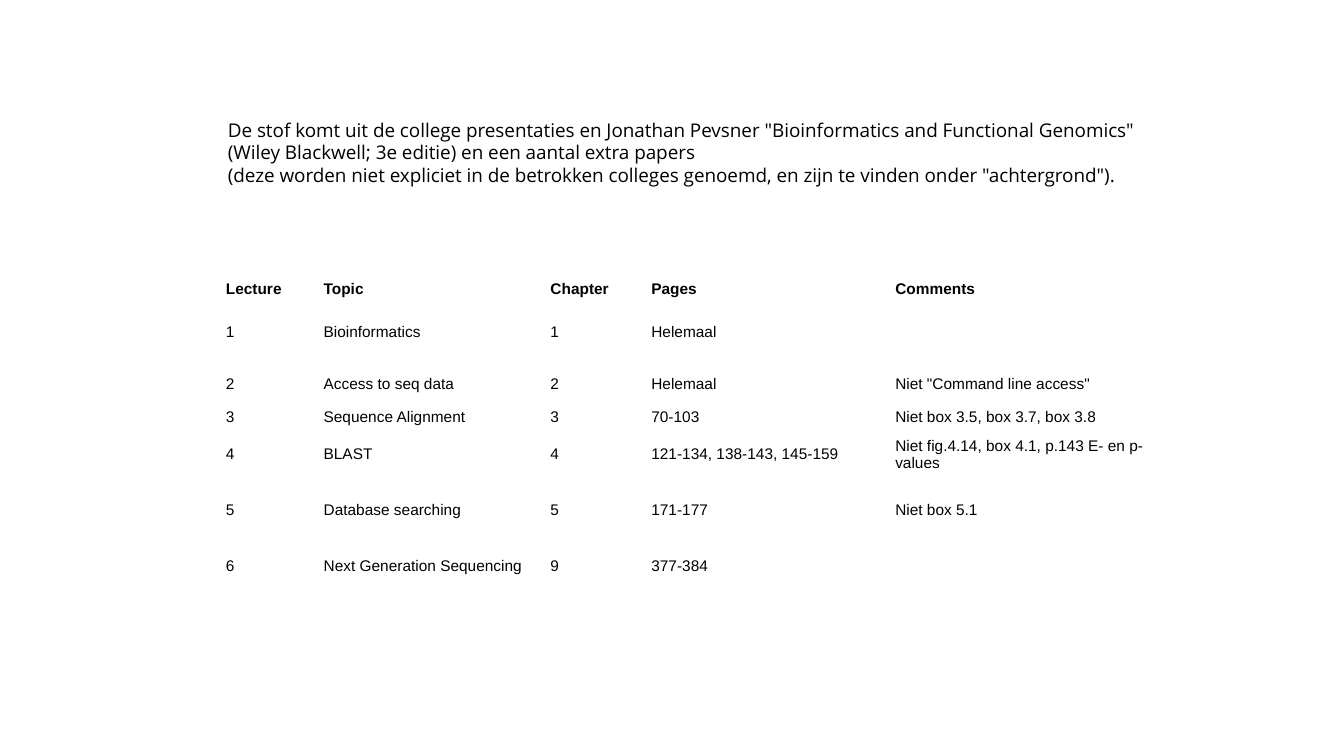
"""Builds a slide that lists the reading material for each bioinformatics lecture."""
import pptx
import pptx.dml.color
import pptx.enum.text
import pptx.util

Inches = pptx.util.Inches
COLORS = {"text": "000000", "background": "FFFFFF"}


def write_text(paragraph, text, font="Arial", size=11, bold=False, color="text"):
    run = paragraph.add_run()
    run.text = text
    run.font.name = font
    run.font.size = pptx.util.Pt(size)
    run.font.bold = bold
    run.font.color.rgb = pptx.dml.color.RGBColor.from_string(COLORS[color])


def set_frame(frame, side, edge):
    frame.margin_left = frame.margin_right = Inches(side)
    frame.margin_top = frame.margin_bottom = Inches(edge)
    frame.vertical_anchor = pptx.enum.text.MSO_ANCHOR.MIDDLE


deck = pptx.Presentation()
deck.slide_width = Inches(13.33)
deck.slide_height = Inches(7.5)
slide = deck.slides.add_slide(deck.slide_layouts[6])
slide.background.fill.solid()
slide.background.fill.fore_color.rgb = pptx.dml.color.RGBColor.from_string(COLORS["background"])

LEFT = 2.19
column_widths = [0.97, 2.25, 1, 2.42, 2.62]
row_heights = [0.24, 0.61, 0.42, 0.24, 0.5, 0.61, 0.5, 0.32]
lectures = [
    ["Lecture", "Topic", "Chapter", "Pages", "Comments"],
    ["1", "Bioinformatics", "1", "Helemaal", ""],
    ["2", "Access to seq data", "2", "Helemaal", 'Niet "Command line access"'],
    ["3", "Sequence Alignment", "3", "70-103", "Niet box 3.5, box 3.7, box 3.8"],
    ["4", "BLAST", "4", "121-134, 138-143, 145-159",
     "Niet fig.4.14, box 4.1, p.143 E- en p-values"],
    ["5", "Database searching", "5", "171-177", "Niet box 5.1"],
    ["6", "Next Generation Sequencing", "9", "377-384", ""],
    [""] * len(column_widths),
]

reading_list = slide.shapes.add_table(
    len(row_heights), len(column_widths), Inches(LEFT), Inches(2.75),
    Inches(sum(column_widths)), Inches(sum(row_heights))).table
reading_list.first_row = False
reading_list.horz_banding = False
for column, width in zip(reading_list.columns, column_widths):
    column.width = Inches(width)
for row_number, (row, height, lecture) in enumerate(
        zip(reading_list.rows, row_heights, lectures)):
    row.height = Inches(height)
    for cell, entry in zip(row.cells, lecture):
        cell.fill.background()
        set_frame(cell, side=0.05, edge=0.02)
        write_text(cell.text_frame.paragraphs[0], entry, bold=row_number == 0)

source_lines = [
    'De stof komt uit de college presentaties en Jonathan Pevsner "Bioinformatics and Functional Genomics"',
    "(Wiley Blackwell; 3e editie) en een aantal extra papers",
    '(deze worden niet expliciet in de betrokken colleges genoemd, en zijn te vinden onder "achtergrond").',
]
sources = slide.shapes.add_textbox(
    Inches(LEFT), Inches(1.13), Inches(16.25), Inches(0.76)).text_frame
sources.word_wrap = True
set_frame(sources, side=0.07, edge=0.04)
for line_number, line in enumerate(source_lines):
    paragraph = sources.add_paragraph() if line_number else sources.paragraphs[0]
    write_text(paragraph, line, font="Open Sans", size=13.5)

deck.save("out.pptx")
